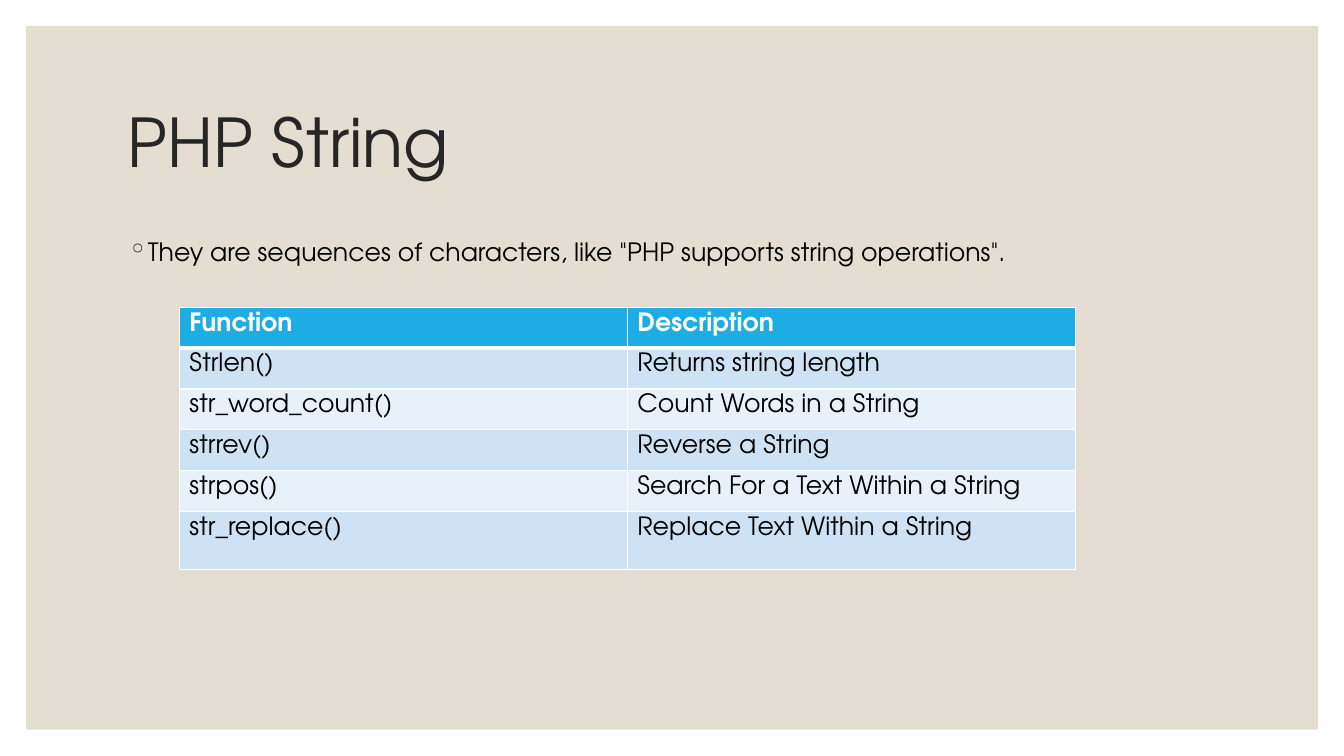
from lxml import etree
from pptx import Presentation
from pptx.dml.color import RGBColor
from pptx.enum.shapes import MSO_SHAPE
from pptx.enum.text import MSO_ANCHOR
from pptx.oxml.ns import qn
from pptx.util import Emu, Pt

RECTANGLE = MSO_SHAPE.RECTANGLE
MIDDLE = MSO_ANCHOR.MIDDLE
FONT = "TeX Gyre Adventor"
PX = 4572
ROW_HEIGHT = 81
LAST_ROW_HEIGHT = 115
HEADER_FILL = "1CADE4"
BAND_FILLS = ["CDE3F5", "E8F1FA"]
ROWS = [
    ("Function", "Description"),
    ("Strlen()", "Returns string length"),
    ("str_word_count()", "Count Words in a String"),
    ("strrev()", "Reverse a String"),
    ("strpos()", "Search For a Text Within a String"),
    ("str_replace()", "Replace Text Within a String"),
]


def px(length):
    """Turn a length in px into EMU."""
    return Emu(length * PX)


def color(value):
    """Turn a hex string into a colour."""
    return RGBColor.from_string(value)


def add_element(parent, tag, **attributes):
    """Append a drawing element with the given attributes."""
    return etree.SubElement(parent, qn(tag), attributes)


def write(frame, text, size, ink, bold=False):
    """Write one formatted paragraph into a text frame and return it."""
    frame.text = text
    para = frame.paragraphs[0]
    font = para.runs[0].font
    font.name, font.size, font.bold = FONT, Pt(size), bold
    font.color.rgb = color(ink)
    return para


def add_panel(page, box):
    """Draw the beige background panel."""
    panel = page.shapes.add_shape(RECTANGLE, *map(px, box))
    panel.shadow.inherit = False
    panel.fill.solid()
    panel.fill.fore_color.rgb = color("E3DED1")
    panel.line.fill.background()


def add_title(page, box, text):
    """Place the slide title, centred vertically in its box."""
    frame = page.shapes.add_textbox(*map(px, box)).text_frame
    frame.word_wrap = True
    frame.vertical_anchor = MIDDLE
    write(frame, text, 48, "262626").line_spacing = 0.9


def add_bullet(page, box, text):
    """Place a bulleted sentence with a hanging indent."""
    frame = page.shapes.add_textbox(*map(px, box)).text_frame
    frame.word_wrap = True
    para = write(frame, text, 18, "000000")
    properties = para._p.get_or_add_pPr()
    properties.set("marL", str(px(40)))
    properties.set("indent", str(px(-40)))
    bullet_color = add_element(properties, "a:buClr")
    add_element(bullet_color, "a:srgbClr", val="262626")
    add_element(properties, "a:buChar", char="◦")


def add_borders(cell, top, bottom):
    """Give a cell white borders, with top and bottom widths in points."""
    properties = cell._tc.get_or_add_tcPr()
    widths = {"a:lnL": 1, "a:lnR": 1, "a:lnT": top, "a:lnB": bottom}
    for tag, width in widths.items():
        line = add_element(properties, tag, w=str(Pt(width)))
        fill = add_element(line, "a:solidFill")
        add_element(fill, "a:srgbClr", val="FFFFFF")


def add_function_table(page, box, rows):
    """Place the banded table of string functions."""
    table = page.shapes.add_table(len(rows), len(rows[0]), *map(px, box)).table
    for index, texts in enumerate(rows):
        header = index == 0
        last = index == len(rows) - 1
        table.rows[index].height = px(LAST_ROW_HEIGHT if last else ROW_HEIGHT)
        for cell, text in zip(table.rows[index].cells, texts):
            add_borders(cell, 3 if index == 1 else 1, 3 if header else 1)
            cell.fill.solid()
            fill = HEADER_FILL if header else BAND_FILLS[(index - 1) % 2]
            cell.fill.fore_color.rgb = color(fill)
            ink = "FFFFFF" if header else "000000"
            write(cell.text_frame, text, 18, ink, header)


def build_string_slide(page):
    """Lay out the panel, title, bullet and table."""
    add_panel(page, (52, 52, 2564, 1396))
    add_title(page, (234, 140, 2200, 300), "PHP String")
    add_bullet(
        page,
        (234, 460, 2200, 860),
        'They are sequences of characters, like "PHP supports string operations".',
    )
    height = ROW_HEIGHT * (len(ROWS) - 1) + LAST_ROW_HEIGHT
    add_function_table(page, (356, 610, 1778, height), ROWS)


def main():
    """Build and save the deck."""
    deck = Presentation()
    deck.slide_width, deck.slide_height = px(2667), px(1500)
    build_string_slide(deck.slides.add_slide(deck.slide_layouts[6]))
    deck.save("out.pptx")


if __name__ == "__main__":
    main()
